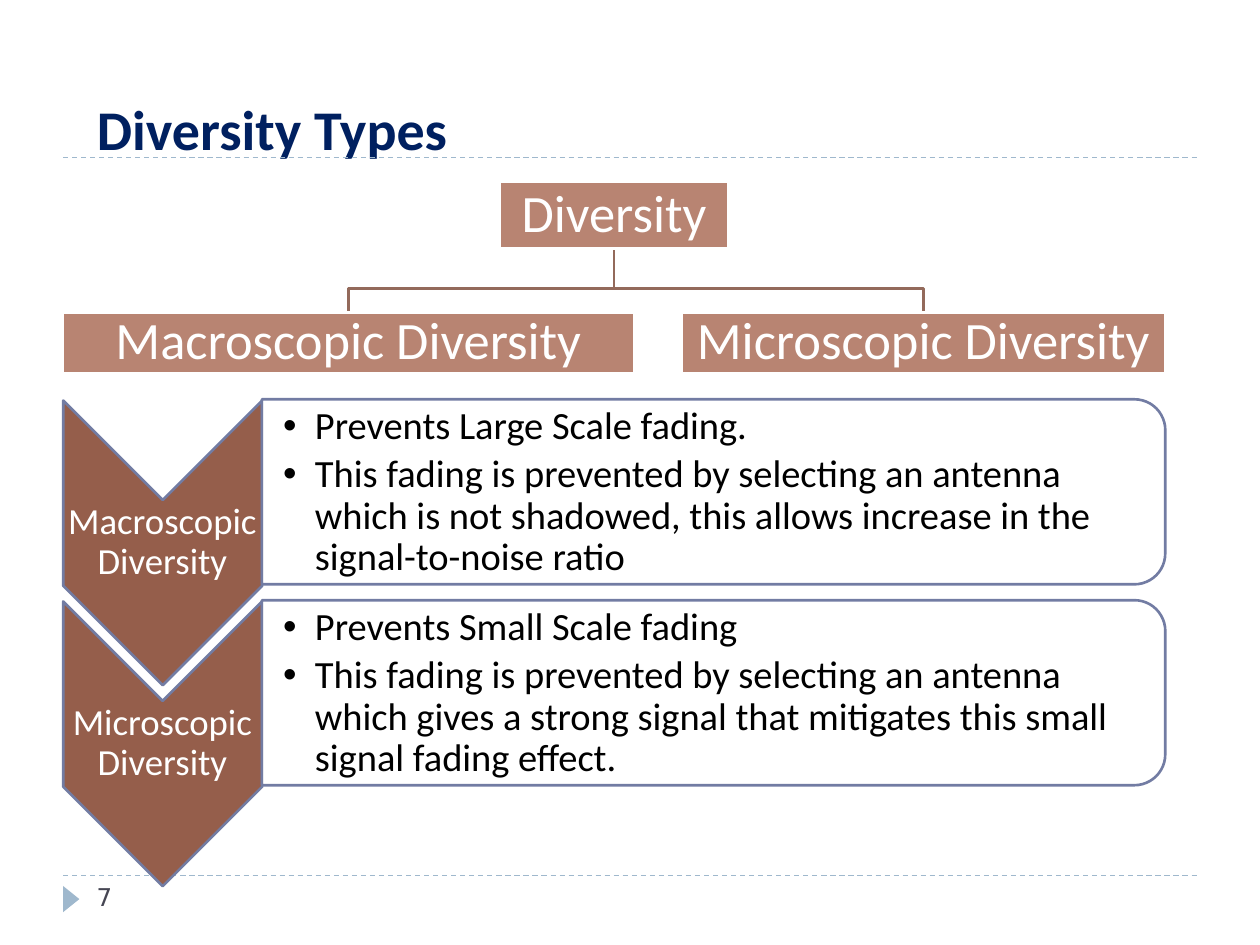
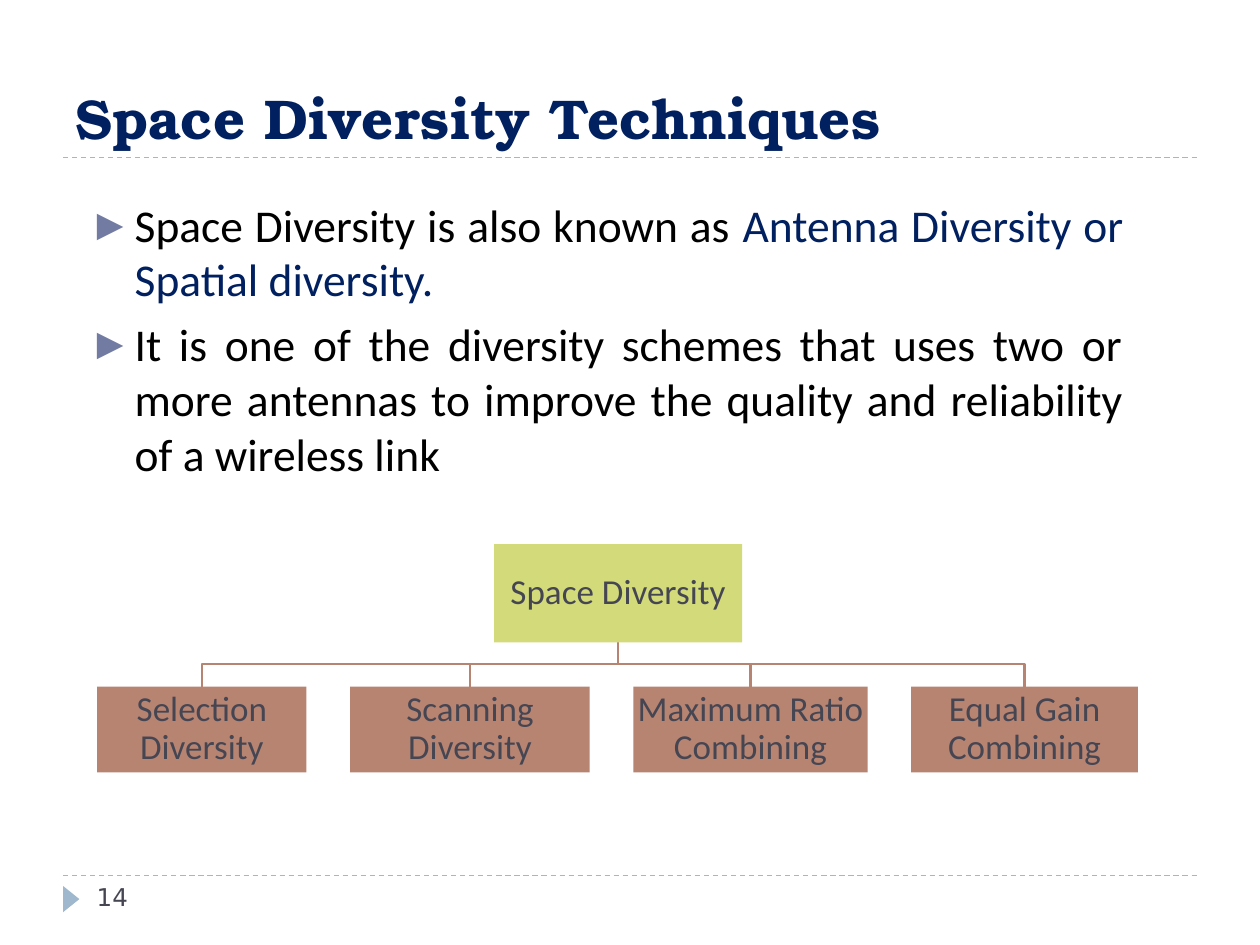
from dataclasses import dataclass
from lxml.etree import SubElement
from pptx import Presentation
from pptx.dml.color import RGBColor
from pptx.enum.dml import MSO_LINE
from pptx.enum.shapes import MSO_CONNECTOR, MSO_SHAPE
from pptx.enum.text import MSO_ANCHOR, MSO_AUTO_SIZE, PP_ALIGN
from pptx.oxml.ns import qn
from pptx.util import Cm, Pt


@dataclass(frozen=True)
class Theme:
    navy: str = "002060"
    ink: str = "464653"
    black: str = "000000"
    white: str = "FFFFFF"
    mist: str = "9FB8CD"
    slate: str = "727CA3"
    clay: str = "B88472"
    brown: str = "936A5B"
    rust: str = "955E4B"
    lime: str = "D2DA7A"
    sans: str = "Calibri"
    serif: str = "TeX Gyre Bonum"
    number_font: str = "DejaVu Sans"
    title_size: float = 32
    tree_size: float = 30
    body_size: float = 26
    panel_size: float = 22
    chevron_size: float = 21
    branch_size: float = 20
    number_size: float = 14
    rule_width: float = 0.75
    line_width: float = 1.5


theme = Theme()


def add_block(page, preset, place, fill, line=None, rotation=0):
    block = page.shapes.add_shape(preset, *map(Cm, place))
    block.shadow.inherit = False
    block.rotation = rotation
    block.fill.solid()
    block.fill.fore_color.rgb = RGBColor.from_string(fill)
    if line:
        block.line.color.rgb = RGBColor.from_string(line)
        block.line.width = Pt(theme.line_width)
    else:
        block.line.fill.background()
    return block


def write(box, paras, size, font=theme.sans, bold=False, inset=None, bullet=None, bullet_font="Arial",
          bullet_color=None, bullet_size=100, indent=0, before=0, **layout):
    frame = box.text_frame
    frame.word_wrap = True
    frame.auto_size = MSO_AUTO_SIZE.NONE
    frame.vertical_anchor = layout.pop("anchor", MSO_ANCHOR.TOP)
    if inset:
        for side, length in zip(("left", "top", "right", "bottom"), inset):
            setattr(frame, f"margin_{side}", Cm(length))
    for index, spans in enumerate(paras):
        para = frame.paragraphs[0] if index == 0 else frame.add_paragraph()
        if bullet:
            props = para._p.get_or_add_pPr()
            props.set("marL", str(Cm(indent)))
            props.set("indent", str(-Cm(indent)))
            if bullet_color:
                SubElement(SubElement(props, qn("a:buClr")), qn("a:srgbClr")).set("val", bullet_color)
            SubElement(props, qn("a:buSzPct")).set("val", str(bullet_size * 1000))
            SubElement(props, qn("a:buFont")).set("typeface", bullet_font)
            SubElement(props, qn("a:buChar")).set("char", bullet)
        para.space_before = Pt(before if index else 0)
        for name, value in layout.items():
            setattr(para, name, value)
        for text, color in spans:
            span = para.add_run()
            span.text = text
            for name, value in {"name": font, "size": Pt(size), "bold": bold}.items():
                setattr(span.font, name, value)
            span.font.color.rgb = RGBColor.from_string(color)


deck = Presentation()
deck.slide_width, deck.slide_height = Cm(25.4), Cm(19.05)

pages = []
for layout_index, title, font, place, number in [
    (5, "Diversity Types", theme.sans, (1.7, 0.64, 22.86, 2.74), "7"),
    (1, "Space Diversity Techniques", theme.serif, (1.27, 0.43, 22.86, 2.74), "14"),
]:
    page = deck.slides.add_slide(deck.slide_layouts[layout_index])
    pages.append(page)
    for height in (17.65, 3.18):
        rule = page.shapes.add_connector(MSO_CONNECTOR.STRAIGHT, Cm(1.27), Cm(height), Cm(24.13), Cm(height))
        rule.line.color.rgb = RGBColor.from_string(theme.mist)
        rule.line.width = Pt(theme.rule_width)
        rule.line.dash_style = MSO_LINE.DASH
        SubElement(rule.element.spPr, qn("a:effectLst"))
    add_block(page, MSO_SHAPE.ISOSCELES_TRIANGLE, (1.17, 17.96, 0.53, 0.33), theme.mist, rotation=90)
    heading = page.shapes.title
    heading.left, heading.top, heading.width, heading.height = map(Cm, place)
    write(heading, [[(title, theme.navy)]], theme.title_size, font, bold=True,
          anchor=MSO_ANCHOR.BOTTOM, alignment=PP_ALIGN.LEFT)
    number_box = page.shapes.add_textbox(Cm(1.7), Cm(17.65), Cm(5.5), Cm(1.02))
    write(number_box, [[(number, theme.ink)]], theme.number_size, theme.number_font)

types_page, techniques_page = pages

body = techniques_page.placeholders[1]
body.left, body.top, body.width, body.height = Cm(1.7), Cm(3.84), Cm(21.21), Cm(8.41)
write(body, [
    [("Space Diversity is also known as ", theme.black),
     ("Antenna Diversity or Spatial diversity.", theme.navy)],
    [("It is one of the diversity schemes that uses two or more antennas to improve "
      "the quality and reliability of a wireless link", theme.black)],
], theme.body_size, bullet="▶", bullet_font=theme.number_font, bullet_color=theme.slate, bullet_size=76,
    indent=0.76, before=6, alignment=PP_ALIGN.JUSTIFY)

trees = [
    dict(page=types_page, root=("Diversity", 10.08, 3.66, 4.6, 1.35), root_fill=theme.clay,
         left=1.27, top=6.3, height=1.22, gap=0.96, bend=5.82,
         branches=[("Macroscopic Diversity", 11.51), ("Microscopic Diversity", 9.75)],
         outline=theme.white, link=theme.brown, ink=theme.white, size=theme.tree_size),
    dict(page=techniques_page, root=("Space Diversity", 9.96, 10.97, 5, 1.98), root_fill=theme.lime,
         left=1.96, top=13.84, height=1.73, gap=0.88, bend=13.39,
         branches=[("Selection Diversity", 4.22), ("Scanning Diversity", 4.83),
                   ("Maximum Ratio Combining", 4.72), ("Equal Gain Combining", 4.57)],
         outline=None, link=theme.clay, ink=theme.ink, size=theme.branch_size),
]
for tree in trees:
    page = tree["page"]
    label, root_left, root_top, root_width, root_height = tree["root"]
    root_middle, root_bottom = root_left + root_width / 2, root_top + root_height
    nodes = [(label, (root_left, root_top, root_width, root_height), tree["root_fill"])]
    left = tree["left"]
    for label, width in tree["branches"]:
        nodes.append((label, (left, tree["top"], width, tree["height"]), theme.clay))
        middle = left + width / 2
        builder = page.shapes.build_freeform(Cm(root_middle), Cm(root_bottom))
        builder.add_line_segments([(Cm(root_middle), Cm(tree["bend"])), (Cm(middle), Cm(tree["bend"])),
                                   (Cm(middle), Cm(tree["top"]))], close=False)
        link = builder.convert_to_shape()
        link.shadow.inherit = False
        link.fill.background()
        link.line.color.rgb = RGBColor.from_string(tree["link"])
        link.line.width = Pt(theme.line_width)
        left += width + tree["gap"]
    for label, place, fill in nodes:
        node = add_block(page, MSO_SHAPE.RECTANGLE, place, fill, tree["outline"])
        write(node, [[(label, tree["ink"])]], tree["size"], inset=(0.04,) * 4, anchor=MSO_ANCHOR.MIDDLE,
              alignment=PP_ALIGN.CENTER, line_spacing=0.9)

row_step = 4.05
for row, (label, points) in enumerate([
    ("Macroscopic Diversity", [
        "Prevents Large Scale fading.",
        "This fading is prevented by selecting an antenna which is not shadowed, "
        "this allows increase in the signal-to-noise ratio"]),
    ("Microscopic Diversity", [
        "Prevents Small Scale fading",
        "This fading is prevented by selecting an antenna which gives a strong signal "
        "that mitigates this small signal fading effect."]),
]):
    shift = row * row_step
    add_block(types_page, MSO_SHAPE.CHEVRON, (0.41, 8.94 + shift, 5.74, 4.01), theme.rust, theme.slate, 90)
    label_box = types_page.shapes.add_textbox(Cm(1.27), Cm(10.08 + shift), Cm(4.01), Cm(1.73))
    write(label_box, [[(label, theme.white)]], theme.chevron_size, inset=(0.03,) * 4,
          anchor=MSO_ANCHOR.MIDDLE, alignment=PP_ALIGN.CENTER, line_spacing=0.9)
    panel = add_block(types_page, MSO_SHAPE.ROUND_2_SAME_RECTANGLE, (12.52, 0.81 + shift, 3.73, 18.21),
                      theme.white, theme.slate, 90)
    panel_color = panel.element.spPr.find(qn("a:solidFill")).find(qn("a:srgbClr"))
    SubElement(panel_color, qn("a:alpha")).set("val", "90000")
    points_box = types_page.shapes.add_textbox(Cm(5.28), Cm(8.26 + shift), Cm(18.03), Cm(3.35))
    write(points_box, [[(point, theme.black)] for point in points], theme.panel_size,
          inset=(0.43, 0.04, 0.04, 0.04), bullet="•", indent=0.64, anchor=MSO_ANCHOR.MIDDLE,
          line_spacing=0.9, space_after=Pt(3.7))

deck.save("out.pptx")
